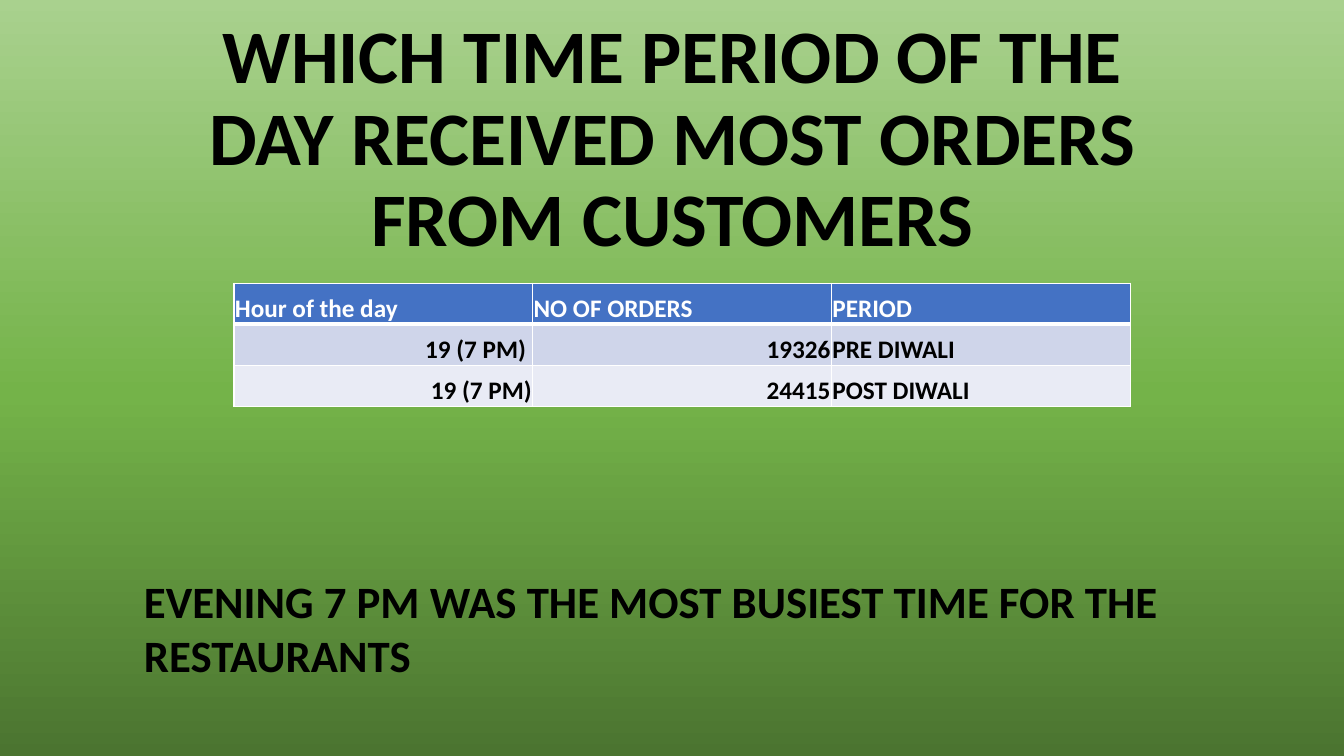
"""Build a slide on the busiest ordering hour of the day."""
from lxml import etree
from pptx import Presentation, util as u
from pptx.dml.color import RGBColor
from pptx.enum import text
from pptx.oxml import parse_xml
from pptx.oxml.ns import nsdecls, qn

COLORS = {
    "black": "000000", "white": "FFFFFF", "header": "4472C4",
    "band_dark": "CFD5EA", "band_light": "E9EBF5",
    "bg_bottom": "4B7430", "bg_middle": "74B349", "bg_top": "A9D18E",
}
BACKGROUND = [(0, "bg_bottom"), (48, "bg_middle"), (100, "bg_top")]
ORDERS = [
    ("Hour of the day", "NO OF ORDERS", "PERIOD"),
    ("19 (7 PM) ", "19326", "PRE DIWALI"),
    ("19 (7 PM)", "24415", "POST DIWALI"),
]
ROW_FILLS = ["header", "band_dark", "band_light"]


def write(tf, content, size=18, color="black", align=text.PP_ALIGN.LEFT, spacing=1.0):
    p = tf.paragraphs[0]
    p.alignment = align
    p.line_spacing = spacing
    r = p.add_run()
    r.text = content
    r.font.name = "Calibri"
    r.font.size = u.Pt(size)
    r.font.bold = True
    r.font.color.rgb = RGBColor.from_string(COLORS[color])


def place(sp, left, top, width, height):
    sp.left, sp.top = u.Inches(left), u.Inches(top)
    sp.width, sp.height = u.Inches(width), u.Inches(height)


def set_background(s):
    stops = "".join(
        f'<a:gs pos="{pos * 1000}"><a:srgbClr val="{COLORS[name]}"/></a:gs>'
        for pos, name in BACKGROUND)
    bg = parse_xml(
        f'<p:bg {nsdecls("p", "a")}><p:bgPr><a:gradFill rotWithShape="1">'
        f'<a:gsLst>{stops}</a:gsLst><a:lin ang="16200000" scaled="0"/>'
        '</a:gradFill><a:effectLst/></p:bgPr></p:bg>')
    s.element.cSld.insert(0, bg)


def add_title(s, content):
    title = s.shapes.title
    place(title, 1.67, 1.33, 10, 1.33)
    tf = title.text_frame
    tf.auto_size = text.MSO_AUTO_SIZE.NONE
    tf.vertical_anchor = text.MSO_ANCHOR.BOTTOM
    write(tf, content, size=54, align=text.PP_ALIGN.CENTER, spacing=0.9)


def add_conclusion(s, content):
    box = s.shapes.add_textbox(
        u.Inches(1.33), u.Inches(5.64), u.Inches(10.33), u.Inches(1.18))
    tf = box.text_frame
    tf.word_wrap = True
    tf.auto_size = text.MSO_AUTO_SIZE.SHAPE_TO_FIT_TEXT
    write(tf, content, size=32)


def set_borders(cell, top=1, bottom=1):
    tc_pr = cell._tc.get_or_add_tcPr()
    for side, width in (("L", 1), ("R", 1), ("T", top), ("B", bottom)):
        ln = etree.SubElement(tc_pr, qn(f"a:ln{side}"), w=str(u.Pt(width)))
        fill = etree.SubElement(ln, qn("a:solidFill"))
        etree.SubElement(fill, qn("a:srgbClr"), val=COLORS["white"])


def add_orders_table(s):
    table = s.shapes.add_table(
        len(ORDERS), len(ORDERS[0]), u.Inches(2.32), u.Inches(2.81),
        u.Inches(8.89), u.Inches(1.22)).table
    for i, row in enumerate(ORDERS):
        for j, value in enumerate(row):
            cell = table.cell(i, j)
            cell.margin_left = cell.margin_right = cell.margin_top = u.Inches(0.01)
            cell.margin_bottom = 0
            cell.vertical_anchor = text.MSO_ANCHOR.BOTTOM
            set_borders(cell, top=3 if i == 1 else 1, bottom=3 if i == 0 else 1)
            cell.fill.solid()
            cell.fill.fore_color.rgb = RGBColor.from_string(COLORS[ROW_FILLS[i]])
            numeric = i > 0 and j < 2
            write(cell.text_frame, value, color="black" if i else "white",
                  align=text.PP_ALIGN.RIGHT if numeric else text.PP_ALIGN.LEFT)


def main():
    prs = Presentation()
    prs.slide_width, prs.slide_height = u.Inches(13.33), u.Inches(7.5)
    s = prs.slides.add_slide(prs.slide_layouts[0])
    subtitle = s.placeholders[1].element
    subtitle.getparent().remove(subtitle)
    set_background(s)
    add_title(s, "WHICH TIME PERIOD OF THE DAY RECEIVED MOST ORDERS FROM CUSTOMERS")
    add_conclusion(s, "EVENING 7 PM WAS THE MOST BUSIEST TIME FOR THE RESTAURANTS")
    add_orders_table(s)
    prs.save("out.pptx")


if __name__ == "__main__":
    main()
